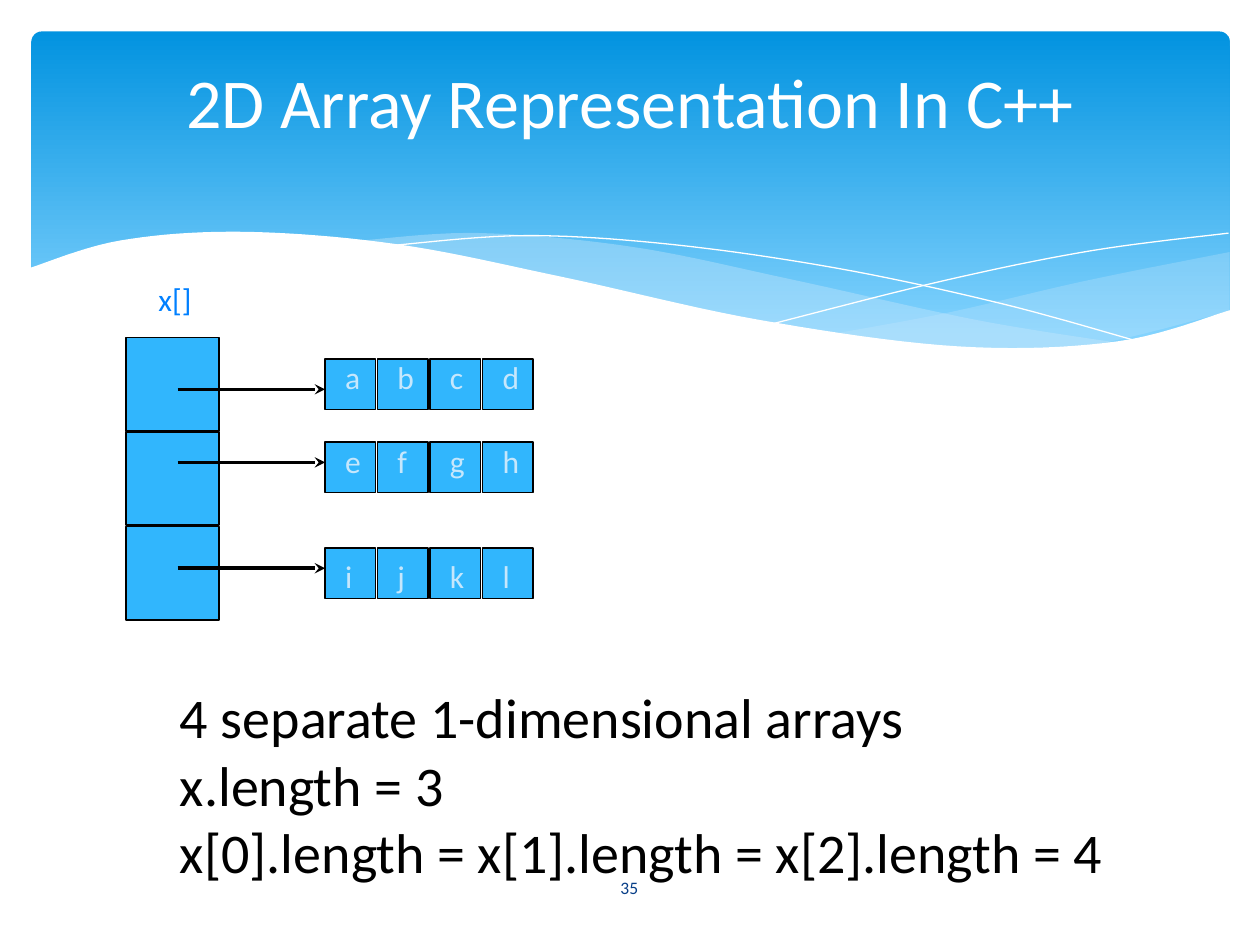
from lxml.etree import SubElement
from pptx import Presentation
from pptx.dml.color import RGBColor
from pptx.enum.shapes import MSO_CONNECTOR, MSO_SHAPE
from pptx.enum.text import MSO_ANCHOR, MSO_AUTO_SIZE, PP_ALIGN
from pptx.oxml.ns import qn
from pptx.util import Inches, Pt

color = RGBColor.from_string


def write(box, lines, size, hex_color, wrap=True, anchor=MSO_ANCHOR.TOP,
          align=PP_ALIGN.LEFT, auto_size=MSO_AUTO_SIZE.NONE):
    frame = box.text_frame
    settings = {"word_wrap": wrap, "vertical_anchor": anchor, "auto_size": auto_size}
    for name, value in settings.items():
        setattr(frame, name, value)
    frame.text = "\n".join(lines)
    for para in frame.paragraphs:
        para.alignment = align
        para.font.size = Pt(size)
        para.font.name = "Calibri"
        para.font.color.rgb = color(hex_color)


def smooth(anchors, steps=10):
    """Return points in EMU on a Catmull-Rom curve through the anchors."""
    padded = [anchors[0], *anchors, anchors[-1]]
    points = [anchors[0]]
    for quad in zip(padded, padded[1:], padded[2:], padded[3:]):
        for step in range(1, steps + 1):
            t = step / steps
            points.append([
                b + t * (c - a) / 2 + t**2 * (2 * a - 5 * b + 4 * c - d) / 2
                + t**3 * (3 * b - a - 3 * c + d) / 2
                for a, b, c, d in zip(*quad)])
    return [(Inches(x), Inches(y)) for x, y in points]


deck = Presentation()
deck.slide_width, deck.slide_height = Inches(10), Inches(7.5)
page = deck.slides.add_slide(deck.slide_layouts[5])

# Blue banner
banner = page.shapes.add_shape(MSO_SHAPE.ROUNDED_RECTANGLE, Inches(0.25),
                               Inches(0.25), Inches(9.51), Inches(2.7))
banner.adjustments[0] = 0.03
banner.shadow.inherit = False
banner.line.fill.background()
banner.fill.gradient()
banner.fill.gradient_angle = 270
for stop, (position, shade) in zip(banner.fill.gradient_stops,
                                   [(0, "0293E0"), (0.9, "83D3FE")]):
    stop.position = position
    stop.color.rgb = color(shade)

# Waves: fill, opacity in percent, curves of the outline; no fill means an open white line
waves = [
    ("C6E7FC", 29, [
        [(9.76, 2), (8.61, 2.23), (7.53, 2.48), (6.61, 2.65)],
        [(6.61, 2.65), (7.57, 2.76), (8.54, 2.76), (9.76, 2.47)]]),
    ("C6E7FC", 40, [
        [(8.93, 2.73), (7.75, 2.54), (6.29, 2.22), (5.02, 1.96), (3.8, 1.85), (2.86, 1.91)],
        [(2.86, 1.91), (4.49, 2.22), (6.01, 2.55), (7.48, 2.76), (8.93, 2.73)]]),
    (None, 100, [
        [(3.09, 1.95), (4.16, 1.87), (5.33, 1.94), (6.65, 2.13), (7.95, 2.41), (9.07, 2.72)]]),
    (None, 100, [[(6.13, 2.57), (7.48, 2.23), (8.66, 1.99), (9.75, 1.85)]]),
    ("FFFFFF", 100, [
        [(9.77, 2.46), (8.87, 2.71), (7.61, 2.75), (6.03, 2.54), (4.47, 2.2),
         (3.16, 1.94), (1.93, 1.84), (0.95, 1.91), (0.23, 2.13)],
        [(0.23, 3.29), (9.77, 3.29)]]),
]
wave_group = page.shapes.add_group_shape()
for fill, opacity, curves in waves:
    start, *rest = [point for curve in curves for point in smooth(curve)]
    builder = wave_group.shapes.build_freeform(*start)
    builder.add_line_segments(rest, close=fill is not None)
    wave = builder.convert_to_shape()
    wave.shadow.inherit = False
    if fill:
        wave.fill.solid()
        wave.fill.fore_color.rgb = color(fill)
        wave.line.fill.background()
        shade = wave.element.spPr.find(qn("a:solidFill"))[0]
        SubElement(shade, qn("a:alpha"), val=str(opacity * 1000))
    else:
        wave.fill.background()
        wave.line.color.rgb = color("FFFFFF")
        wave.line.width = Pt(0)

# Title, brought in front of the banner
title = page.shapes.title
title.left, title.top, title.width, title.height = map(Inches, (0.25, 0.17, 9.5, 1.25))
write(title, ["2D Array Representation In C++"], 40, "FFFFFF",
      anchor=MSO_ANCHOR.MIDDLE, align=PP_ALIGN.CENTER)
page.shapes.element.append(title.element)

# Array diagram
diagram = page.shapes.add_group_shape().shapes
column_step = 5 / 12
first_column = 2.58
cells = [(1, 2.68 + 0.75 * row, 0.74) for row in range(3)]

# Each row: letters, top of cells, top of letters, height of arrow
rows = [("abcd", 2.85, 2.79, 3.09), ("efgh", 3.51, 3.46, 3.67), ("ijkl", 4.35, 4.37, 4.51)]
for letters, cell_top, _, _ in rows:
    cells += [(first_column + column_step * column, cell_top, 0.4)
              for column in range(len(letters))]
for left, top, side in cells:
    cell = diagram.add_shape(MSO_SHAPE.RECTANGLE, Inches(left), Inches(top),
                             Inches(side), Inches(side))
    cell.shadow.inherit = False
    cell.fill.solid()
    cell.fill.fore_color.rgb = color("31B6FD")
    cell.line.color.rgb = color("000000")
    cell.line.width = Pt(1)

for letters, _, letter_top, arrow_y in rows:
    arrow = diagram.add_connector(MSO_CONNECTOR.STRAIGHT, Inches(1.41), Inches(arrow_y),
                                  Inches(first_column), Inches(arrow_y))
    arrow.line.color.rgb = color("000000")
    arrow.line.width = Pt(2)
    SubElement(arrow.element.spPr.find(qn("a:ln")), qn("a:tailEnd"), type="stealth")
    SubElement(arrow.element.spPr, qn("a:effectLst"))
    for column, letter in enumerate(letters):
        box = diagram.add_textbox(Inches(first_column + 0.06 + column_step * column),
                                  Inches(letter_top), Inches(0.34), Inches(0.43))
        write(box, [letter], 18, "C6E7FC", wrap=False,
              auto_size=MSO_AUTO_SIZE.SHAPE_TO_FIT_TEXT)

array_name = diagram.add_textbox(Inches(1.16), Inches(2.17), Inches(0.83), Inches(0.43))
write(array_name, ["x[]"], 18, "0080FF", auto_size=MSO_AUTO_SIZE.SHAPE_TO_FIT_TEXT)

# Notes on lengths and page number
lengths = page.shapes.add_textbox(Inches(1.33), Inches(5.37), Inches(8), Inches(1.72))
write(lengths, ["4 separate 1-dimensional arrays", "x.length = 3",
                "x[0].length = x[1].length = x[2].length = 4"], 32, "000000",
      auto_size=MSO_AUTO_SIZE.SHAPE_TO_FIT_TEXT)
page_number = page.shapes.add_textbox(Inches(4.36), Inches(6.84), Inches(1.27), Inches(0.4))
write(page_number, ["35"], 10, "073E87", anchor=MSO_ANCHOR.MIDDLE, align=PP_ALIGN.CENTER)

deck.save("out.pptx")
